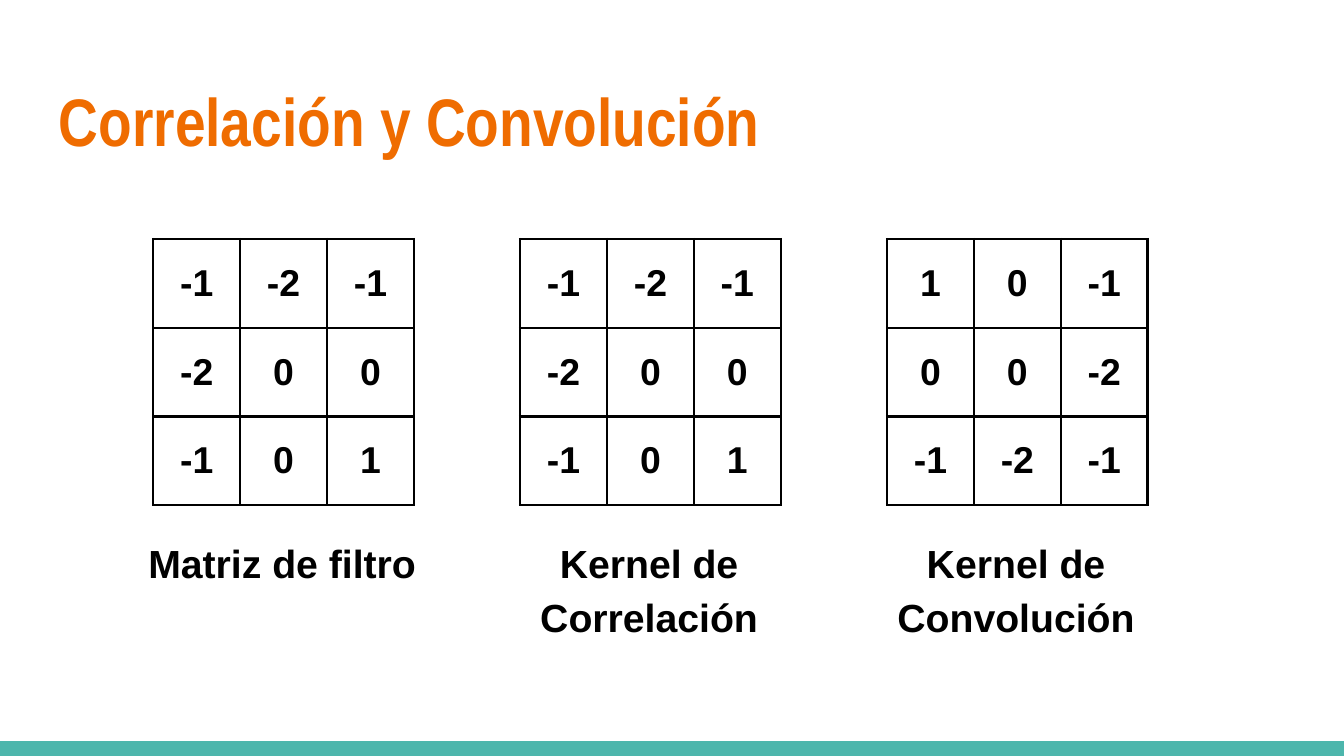
from dataclasses import dataclass

from lxml.etree import SubElement
from pptx import Presentation
from pptx.dml.color import RGBColor
from pptx.enum.shapes import MSO_SHAPE
from pptx.enum.text import MSO_ANCHOR, PP_ALIGN
from pptx.oxml.ns import qn
from pptx.slide import Slide
from pptx.table import _Cell
from pptx.text.text import TextFrame
from pptx.util import Inches, Pt

BLACK, ORANGE, TEAL = "000000", "EF6C00", "4DB6AC"
SLIDE_WIDTH = 10
SLIDE_HEIGHT = SLIDE_WIDTH * 9 / 16
BAR_HEIGHT = 0.11
INSET = 0.1

# Grid of matrices: one every COLUMN_STEP inches, captions centred below
FIRST_LEFT, MATRIX_TOP, COLUMN_STEP = 1.14, 1.78, 2.73
MATRIX_WIDTH, MATRIX_HEIGHT = 1.94, 1.98
CAPTION_WIDTH, CAPTION_OFFSET = 2.34, -0.21

FILTER = [[-1, -2, -1], [-2, 0, 0], [-1, 0, 1]]
ROTATED_FILTER = [row[::-1] for row in FILTER[::-1]]


@dataclass
class Matrix:
    caption: str
    values: list[list[int]]
    caption_top: float
    caption_height: float


MATRICES = [
    Matrix("Matriz de filtro", FILTER, 3.86, 0.6),
    Matrix("Kernel de Correlación", FILTER, 3.95, 0.83),
    Matrix("Kernel de Convolución", ROTATED_FILTER, 3.95, 0.83),
]


def color(value: str) -> RGBColor:
    return RGBColor.from_string(value)


def write(frame: TextFrame, text: str, size: float, font_name: str = "Arial",
          font_color: str = BLACK, align: PP_ALIGN = PP_ALIGN.CENTER) -> None:
    """Fill a text frame with one bold paragraph."""
    frame.text = text
    paragraph = frame.paragraphs[0]
    paragraph.alignment = align
    font = paragraph.runs[0].font
    font.name, font.size, font.bold = font_name, Pt(size), True
    font.color.rgb = color(font_color)


def add_text_box(slide: Slide, left: float, top: float, width: float,
                 height: float, anchor: MSO_ANCHOR) -> TextFrame:
    box = slide.shapes.add_textbox(
        Inches(left), Inches(top), Inches(width), Inches(height))
    frame = box.text_frame
    frame.word_wrap = True
    frame.vertical_anchor = anchor
    frame.margin_left = frame.margin_right = Inches(INSET)
    frame.margin_top = frame.margin_bottom = Inches(INSET)
    return frame


def add_borders(cell: _Cell, width: float = 1.5) -> None:
    properties = cell._tc.get_or_add_tcPr()
    for position, side in enumerate(("a:lnL", "a:lnR", "a:lnT", "a:lnB")):
        line = properties.makeelement(qn(side), {"w": str(Pt(width))})
        fill = SubElement(line, qn("a:solidFill"))
        SubElement(fill, qn("a:srgbClr"), val=BLACK)
        properties.insert(position, line)


def add_matrix(slide: Slide, matrix: Matrix, left: float) -> None:
    rows, columns = len(matrix.values), len(matrix.values[0])
    table = slide.shapes.add_table(
        rows, columns, Inches(left), Inches(MATRIX_TOP),
        Inches(MATRIX_WIDTH), Inches(MATRIX_HEIGHT)).table
    table.first_row = table.horz_banding = False
    for row, values in enumerate(matrix.values):
        for column, value in enumerate(values):
            cell = table.cell(row, column)
            cell.fill.background()
            cell.vertical_anchor = MSO_ANCHOR.MIDDLE
            cell.margin_left = cell.margin_right = Inches(INSET)
            cell.margin_top = cell.margin_bottom = Inches(INSET)
            write(cell.text_frame, str(value), 20)
            add_borders(cell)

    # Caption below the matrix
    frame = add_text_box(slide, left + CAPTION_OFFSET, matrix.caption_top,
                         CAPTION_WIDTH, matrix.caption_height, MSO_ANCHOR.MIDDLE)
    write(frame, matrix.caption, 21)
    frame.paragraphs[0].line_spacing = 1.15


def main() -> None:
    presentation = Presentation()
    presentation.slide_width = Inches(SLIDE_WIDTH)
    presentation.slide_height = Inches(SLIDE_HEIGHT)
    slide = presentation.slides.add_slide(presentation.slide_layouts[6])

    # Bottom bar
    bar = slide.shapes.add_shape(
        MSO_SHAPE.RECTANGLE, 0, Inches(SLIDE_HEIGHT - BAR_HEIGHT),
        Inches(SLIDE_WIDTH), Inches(BAR_HEIGHT))
    bar.shadow.inherit = False
    bar.fill.solid()
    bar.fill.fore_color.rgb = color(TEAL)
    bar.line.fill.background()

    # Title
    title = add_text_box(slide, 0.34, 0.49, 9.32, 0.77, MSO_ANCHOR.TOP)
    write(title, "Correlación y Convolución", 36, "Arial Narrow", ORANGE,
          PP_ALIGN.LEFT)

    # Matrices with their captions
    for index, matrix in enumerate(MATRICES):
        add_matrix(slide, matrix, FIRST_LEFT + index * COLUMN_STEP)

    presentation.save("out.pptx")


if __name__ == "__main__":
    main()
